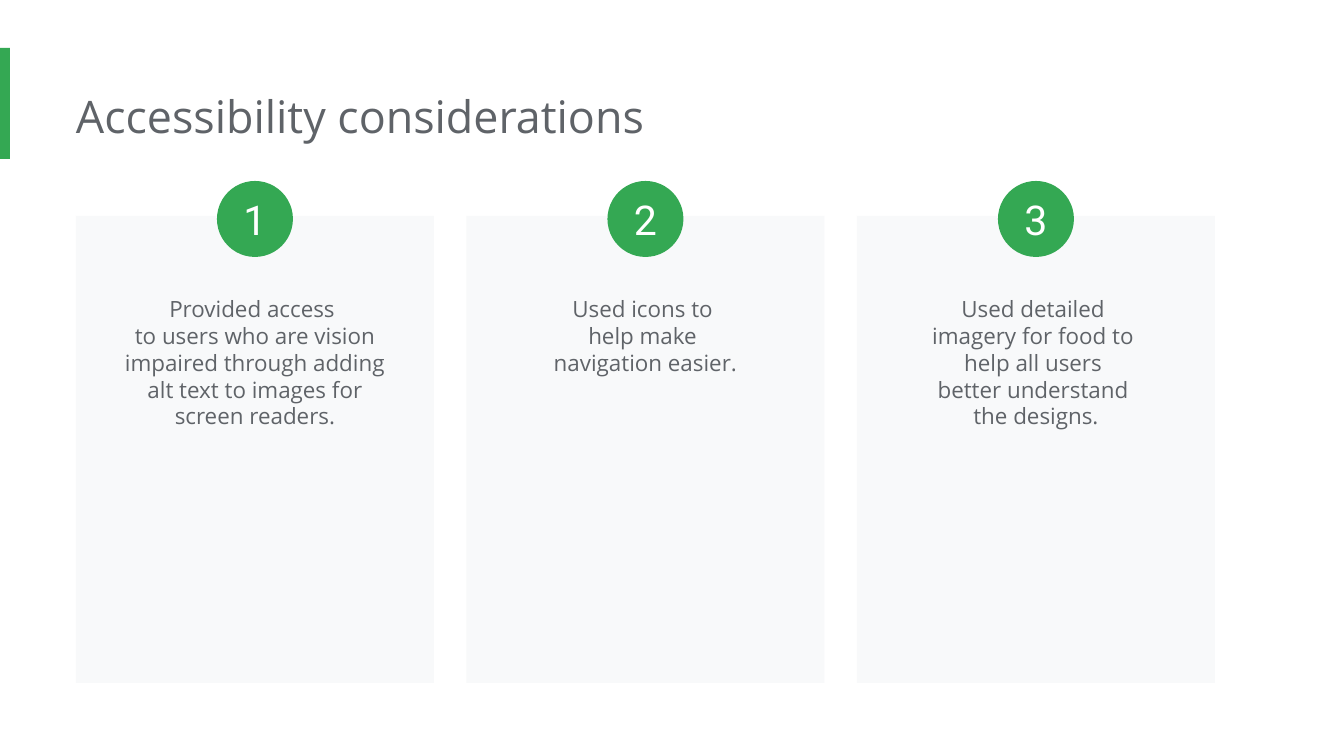
"""Build a slide of three numbered accessibility considerations."""
from dataclasses import dataclass

from pptx import Presentation
from pptx.dml.color import RGBColor
from pptx.enum.shapes import MSO_SHAPE
from pptx.enum.text import MSO_ANCHOR, PP_ALIGN
from pptx.util import Emu, Pt

RECTANGLE, OVAL = MSO_SHAPE.RECTANGLE, MSO_SHAPE.OVAL
LEFT, CENTER = PP_ALIGN.LEFT, PP_ALIGN.CENTER
TOP, MIDDLE = MSO_ANCHOR.TOP, MSO_ANCHOR.MIDDLE

TITLE = "Accessibility considerations"
CONSIDERATIONS = [
    "Provided access \vto users who are vision impaired through adding "
    "alt text to images for screen readers.",
    "Used icons to \vhelp make \vnavigation easier.",
    "Used detailed \vimagery for food to \vhelp all users \v"
    "better understand \vthe designs.",
]

EMU_PER_PX = 914400 / 134.4
SLIDE_WIDTH, SLIDE_HEIGHT = 1344, 756
MARGIN, CARDS_RIGHT = 76, 1215
CARD_TOP, CARD_WIDTH, CARD_HEIGHT = 216, 358, 467
BADGE_TOP, BADGE_SIZE = 181, 76
BODY_TOP, BODY_WIDTH, BODY_HEIGHT = 282, 301, 226
INSET = 13


@dataclass(frozen=True)
class Theme:
    green: str = "34A853"
    card: str = "F8F9FA"
    ink: str = "5F6368"
    white: str = "FFFFFF"
    font: str = "Open Sans"
    number_font: str = "Roboto"
    title_size: int = 24
    body_size: int = 12
    number_size: int = 22


THEME = Theme()


def px(length):
    return Emu(round(length * EMU_PER_PX))


def add_block(page, kind, left, top, width, height, color):
    shape = page.shapes.add_shape(kind, px(left), px(top), px(width), px(height))
    shape.shadow.inherit = False
    shape.fill.solid()
    shape.fill.fore_color.rgb = RGBColor.from_string(color)
    shape.line.fill.background()
    return shape


def add_box(page, left, top, width, height):
    return page.shapes.add_textbox(px(left), px(top), px(width), px(height))


def write(shape, text, size, font=THEME.font, color=THEME.ink, align=CENTER,
          anchor=TOP, insets=(INSET, INSET, INSET, INSET)):
    frame = shape.text_frame
    frame.word_wrap = True
    frame.vertical_anchor = anchor
    (frame.margin_left, frame.margin_top,
     frame.margin_right, frame.margin_bottom) = map(px, insets)
    para = frame.paragraphs[0]
    para.text = text
    para.alignment = align
    for span in para.runs:
        span.font.size = Pt(size)
        span.font.name = font
        span.font.color.rgb = RGBColor.from_string(color)


def add_consideration(page, number, text, left):
    center = left + CARD_WIDTH / 2
    add_block(page, RECTANGLE, left, CARD_TOP, CARD_WIDTH, CARD_HEIGHT, THEME.card)
    body = add_box(page, center - BODY_WIDTH / 2, BODY_TOP, BODY_WIDTH, BODY_HEIGHT)
    write(body, text, THEME.body_size)
    badge = add_block(page, OVAL, center - BADGE_SIZE / 2, BADGE_TOP,
                      BADGE_SIZE, BADGE_SIZE, THEME.green)
    write(badge, str(number), THEME.number_size, font=THEME.number_font,
          color=THEME.white, anchor=MIDDLE, insets=(0, 0, 0, 0))


def main():
    deck = Presentation()
    deck.slide_width, deck.slide_height = px(SLIDE_WIDTH), px(SLIDE_HEIGHT)
    page = deck.slides.add_slide(deck.slide_layouts[6])
    add_block(page, RECTANGLE, 0, 48, 10, 111, THEME.green)
    title = add_box(page, MARGIN, 76, 1030, 82)
    write(title, TITLE, THEME.title_size, align=LEFT,
          insets=(0, INSET, INSET, INSET))
    step = (CARDS_RIGHT - MARGIN - CARD_WIDTH) / (len(CONSIDERATIONS) - 1)
    for index, text in enumerate(CONSIDERATIONS):
        add_consideration(page, index + 1, text, MARGIN + index * step)
    deck.save("out.pptx")


if __name__ == "__main__":
    main()
